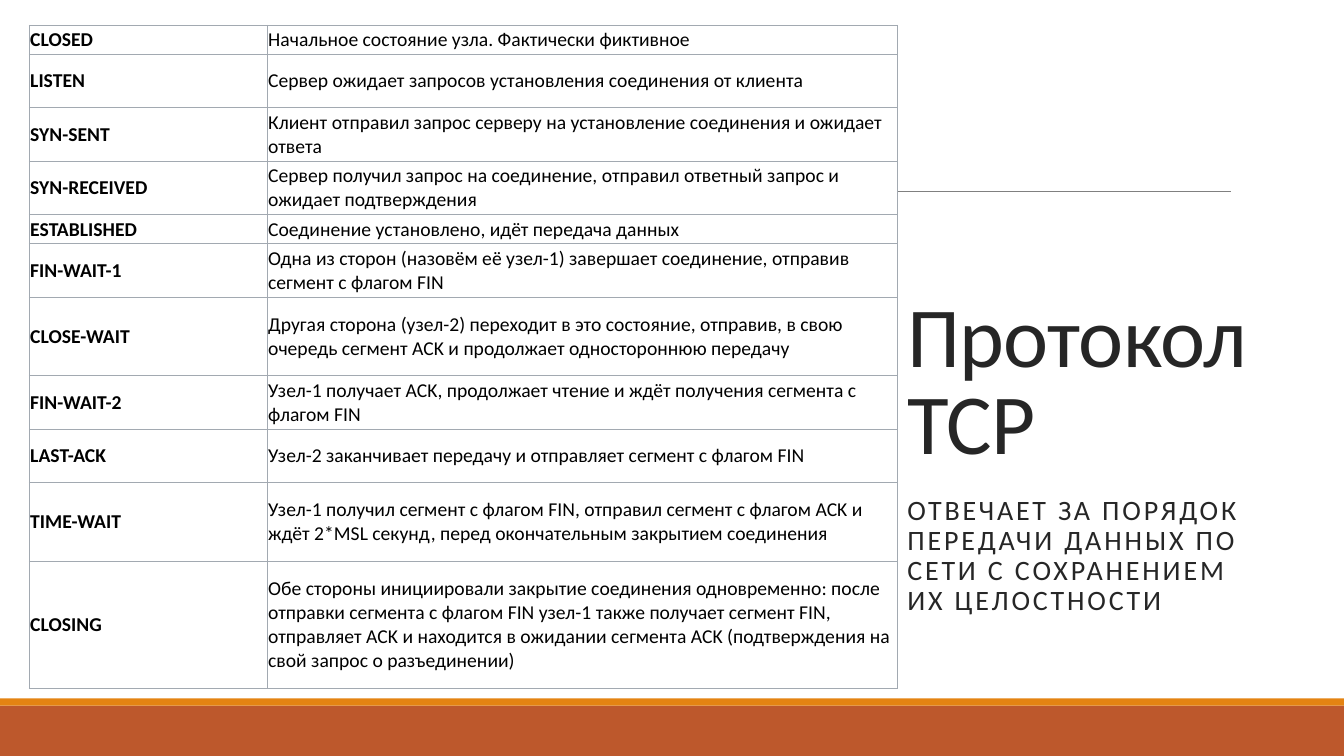
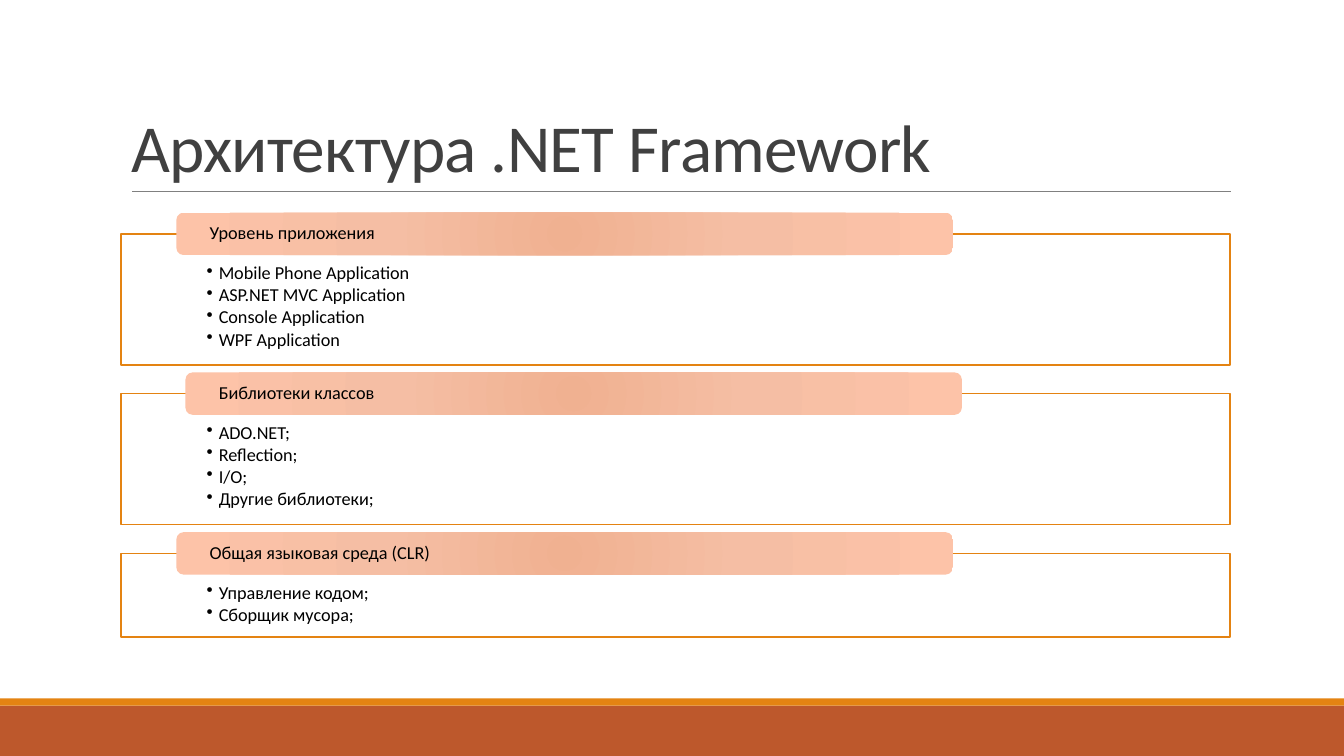
from pptx import Presentation, util as u
from pptx.dml.color import RGBColor
from pptx.enum import shapes, text
from pptx.oxml import parse_xml
from pptx.oxml.ns import nsdecls, qn

WIDE, HIGH = 13.33, 7.5
RUST, AMBER, WHITE, BLACK = "BD582C", "E48312", "FFFFFF", "000000"
GRAY, EDGE = "808080", "A2A9B1"
NS = nsdecls("a")
GRAD = "".join(f'<a:gs pos="{at}000"><a:srgbClr val="{hue}"/></a:gs>'
               for at, hue in ((0, "F0B191"), (45, "F5BEA4"), (100, "FDC3A8")))


def place(tree, kind, box, hue):
    """Add a shadowless preset shape with a plain fill and no line."""
    item = tree.add_shape(kind, *map(u.Inches, box))
    item.shadow.inherit = False
    item.fill.solid()
    item.fill.fore_color.rgb = RGBColor.from_string(hue)
    item.line.fill.background()
    return item


def write(frame, words, size, hue, bold=False, lead=1.0, track=0, before=0, after=0):
    """Set the text and give every paragraph and run the same look."""
    frame.text = words
    frame.word_wrap = True
    for para in frame.paragraphs:
        para.alignment = text.PP_ALIGN.LEFT
        para.line_spacing = lead
        para.space_before, para.space_after = u.Pt(before), u.Pt(after)
        for run in para.runs:
            run.font.name, run.font.size, run.font.bold = "Calibri", u.Pt(size), bold
            run.font.color.rgb = RGBColor.from_string(hue)
            run._r.get_or_add_rPr().set("spc", str(int(track * 100)))


deck = Presentation()
deck.slide_width, deck.slide_height = u.Inches(WIDE), u.Inches(HIGH)
tcp = deck.slides.add_slide(deck.slide_layouts[1])
net = deck.slides.add_slide(deck.slide_layouts[5])

# Shared bands and title rule live on the master
rule = tcp.shapes.add_connector(shapes.MSO_CONNECTOR.STRAIGHT,
                                *map(u.Inches, (1.31, 1.9, 12.21, 1.9)))
rule.line.width = u.Pt(0.5)
rule.line.color.rgb = RGBColor.from_string(GRAY)
rule.element.spPr.append(parse_xml(f"<a:effectLst {NS}/>"))
rect = shapes.MSO_SHAPE.RECTANGLE
base = place(tcp.shapes, rect, (0, 7, WIDE, 0.5), RUST)
strip = place(tcp.shapes, rect, (0, 6.93, WIDE, 0.07), AMBER)
for n, part in enumerate((base, strip, rule)):
    part.element.xpath(".//p:cNvPr")[0].set("id", str(50 + n))
    deck.slide_master.shapes.element.insert(2 + n, part.element)

# Titles
titles = (
    (tcp, "Протокол TCP", (8.9, 0.7, 3.72, 4.03), 61, "262626"),
    (net, "Архитектура .NET Framework", (1.2, 0.31, 11, 1.59), 48, "404040"),
)
for page, words, box, size, hue in titles:
    head = page.shapes.title
    head.left, head.top, head.width, head.height = map(u.Inches, box)
    write(head.text_frame, words, size, hue, lead=0.85, track=-0.5)
    head.text_frame.auto_size = text.MSO_AUTO_SIZE.NONE
    head.text_frame.vertical_anchor = text.MSO_ANCHOR.BOTTOM

# Slide 1: summary and table of states
body = tcp.placeholders[1]
body.left, body.top, body.width, body.height = map(u.Inches, (8.9, 4.87, 3.74, 1.35))
write(body.text_frame,
      "ОТВЕЧАЕТ ЗА ПОРЯДОК ПЕРЕДАЧИ ДАННЫХ ПО СЕТИ С СОХРАНЕНИЕМ ИХ ЦЕЛОСТНОСТИ",
      20, "262626", lead=0.9, track=2, before=12, after=2)
body.text_frame.auto_size = text.MSO_AUTO_SIZE.NONE
props = body.text_frame.paragraphs[0]._p.get_or_add_pPr()
props.set("marL", "0")
props.set("indent", "0")
props.append(parse_xml(f"<a:buNone {NS}/>"))

states = (
    ("CLOSED", "Начальное состояние узла. Фактически фиктивное", 0.29),
    ("LISTEN", "Сервер ожидает запросов установления соединения от клиента", 0.53),
    ("SYN-SENT", "Клиент отправил запрос серверу на установление соединения "
     "и ожидает ответа", 0.53),
    ("SYN-RECEIVED", "Сервер получил запрос на соединение, отправил ответный запрос "
     "и ожидает подтверждения", 0.53),
    ("ESTABLISHED", "Соединение установлено, идёт передача данных", 0.29),
    ("FIN-WAIT-1", "Одна из сторон (назовём её узел-1) завершает соединение, "
     "отправив сегмент с флагом FIN", 0.53),
    ("CLOSE-WAIT", "Другая сторона (узел-2) переходит в это состояние, отправив, "
     "в свою очередь сегмент ACK и продолжает одностороннюю передачу", 0.78),
    ("FIN-WAIT-2", "Узел-1 получает ACK, продолжает чтение и ждёт получения сегмента "
     "с флагом FIN", 0.53),
    ("LAST-ACK", "Узел-2 заканчивает передачу и отправляет сегмент с флагом FIN", 0.53),
    ("TIME-WAIT", "Узел-1 получил сегмент с флагом FIN, отправил сегмент с флагом ACK "
     "и ждёт 2*MSL секунд, перед окончательным закрытием соединения", 0.78),
    ("CLOSING", "Обе стороны инициировали закрытие соединения одновременно: после "
     "отправки сегмента с флагом FIN узел-1 также получает сегмент FIN, отправляет ACK "
     "и находится в ожидании сегмента ACK (подтверждения на свой запрос "
     "о разъединении)", 1.26),
)
grid = tcp.shapes.add_table(len(states), 2, *map(u.Inches, (0.29, 0.25, 8.61, 6.6))).table
grid.first_row = grid.horz_banding = False
for col, wide in zip(grid.columns, (2.36, 6.25)):
    col.width = u.Inches(wide)
for row, (name, note, high) in zip(grid.rows, states):
    row.height = u.Inches(high)
    for cell, words in zip(row.cells, (name, note)):
        write(cell.text_frame, words, 14, BLACK, bold=words == name)
        cell.vertical_anchor = text.MSO_ANCHOR.MIDDLE
        cell.margin_left = cell.margin_right = u.Inches(0.01)
        cell.margin_top = cell.margin_bottom = u.Inches(0.01)
        cell.fill.solid()
        cell.fill.fore_color.rgb = RGBColor.from_string(WHITE)
        for n, side in enumerate("LRTB"):
            cell._tc.get_or_add_tcPr().insert(n, parse_xml(
                f'<a:ln{side} {NS} w="{u.Pt(0.75)}"><a:solidFill>'
                f'<a:srgbClr val="{EDGE}"/></a:solidFill></a:ln{side}>'))

# Slide 2: a framed list under a gradient label for each layer
layers = (
    ("Уровень приложения", 1.75, ("Mobile Phone Application", "ASP.NET MVC Application",
                                  "Console Application", "WPF Application")),
    ("Библиотеки классов", 1.84, ("ADO.NET;", "Reflection;", "I/O;", "Другие библиотеки;")),
    ("Общая языковая среда (CLR)", 1.75, ("Управление кодом;", "Сборщик мусора;")),
)
top = 2.32
for name, left, items in layers:
    high = 0.36 + 0.235 * len(items)
    panel = place(net.shapes, rect, (1.2, top, 11, high), WHITE)
    panel.line.color.rgb = RGBColor.from_string(AMBER)
    panel.line.width = u.Pt(1)
    frame = panel.text_frame
    write(frame, "\n".join(items), 13, BLACK, lead=0.9, after=1.7)
    frame.vertical_anchor = text.MSO_ANCHOR.TOP
    frame.margin_left = frame.margin_right = u.Inches(0.85)
    frame.margin_top, frame.margin_bottom = u.Inches(0.3), u.Inches(0.1)
    for para in frame.paragraphs:
        props = para._p.get_or_add_pPr()
        props.set("marL", str(u.Inches(0.12)))
        props.set("indent", str(-u.Inches(0.12)))
        props.append(parse_xml(f'<a:buChar {NS} char="•"/>'))

    label = place(net.shapes, shapes.MSO_SHAPE.ROUNDED_RECTANGLE,
                  (left, top - 0.21, 7.7, 0.42), WHITE)
    fill = label.element.spPr.find(qn("a:solidFill"))
    fill.getparent().replace(fill, parse_xml(
        f'<a:gradFill {NS}><a:gsLst>{GRAD}</a:gsLst><a:path path="circle">'
        '<a:fillToRect l="100000" t="100000" r="100000" b="100000"/></a:path></a:gradFill>'))
    write(label.text_frame, name, 13, BLACK, lead=0.9)
    label.text_frame.vertical_anchor = text.MSO_ANCHOR.MIDDLE
    label.text_frame.margin_left = u.Inches(0.31)
    label.text_frame.margin_top = label.text_frame.margin_bottom = 0
    top += high + 0.285

deck.save("out.pptx")
